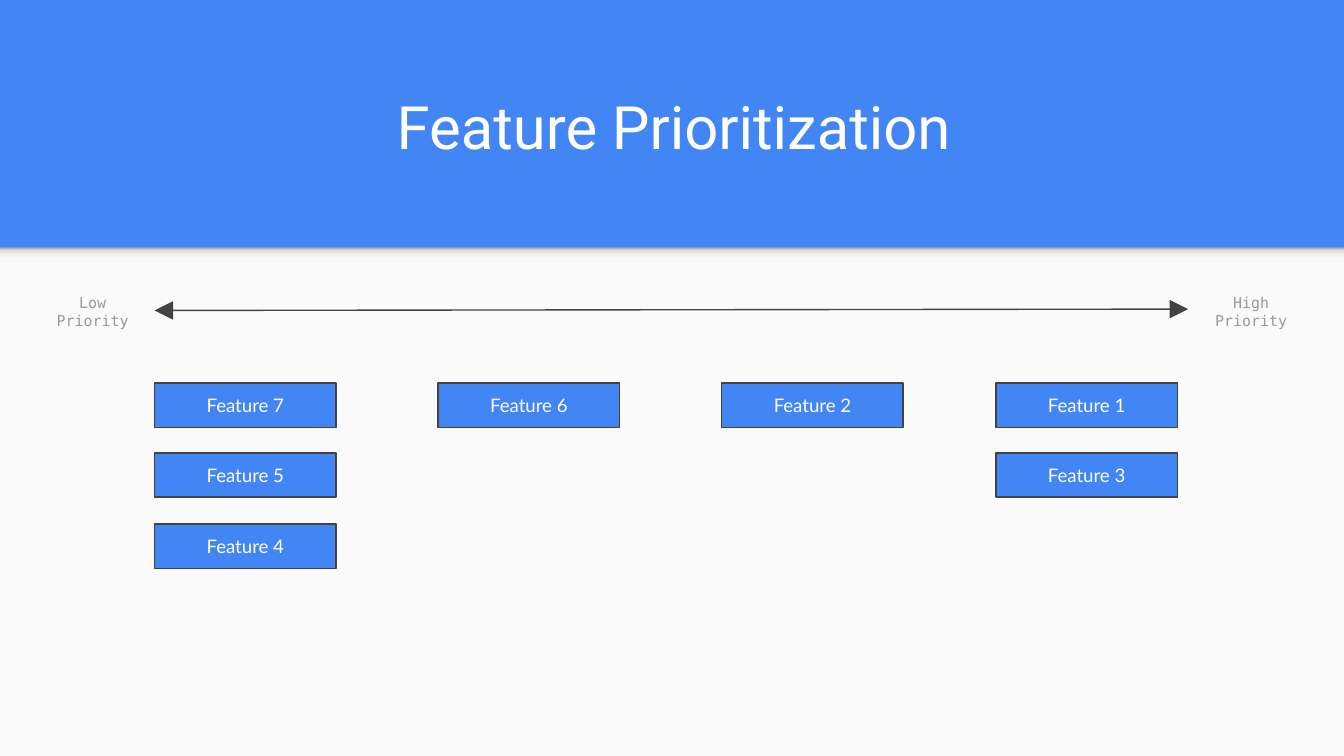
"""Build a slide that ranks features from low to high priority."""
from lxml import etree
from pptx import Presentation
from pptx.dml.color import RGBColor
from pptx.enum.shapes import MSO_CONNECTOR, MSO_SHAPE
from pptx.enum.text import MSO_ANCHOR, MSO_AUTO_SIZE, PP_ALIGN
from pptx.oxml.ns import qn
from pptx.util import Inches, Pt

RECTANGLE = MSO_SHAPE.RECTANGLE
STRAIGHT = MSO_CONNECTOR.STRAIGHT
MIDDLE, BOTTOM = MSO_ANCHOR.MIDDLE, MSO_ANCHOR.BOTTOM
NO_AUTOFIT = MSO_AUTO_SIZE.NONE
CENTER = PP_ALIGN.CENTER

BLUE = RGBColor(0x42, 0x85, 0xF4)
WHITE = RGBColor(0xFF, 0xFF, 0xFF)
PAPER = RGBColor(0xFA, 0xFA, 0xFA)
DARK = RGBColor(0x42, 0x42, 0x42)
GRAY = RGBColor(0x99, 0x99, 0x99)
EDGE_LIGHT = RGBColor(0xF9, 0xF9, 0xF9)
EDGE_MID = RGBColor(0xDE, 0xDE, 0xDE)
EDGE_STOPS = [(0, EDGE_LIGHT), (36, EDGE_LIGHT), (80, EDGE_MID), (100, GRAY)]

SLIDE_WIDTH = 10
SLIDE_HEIGHT = SLIDE_WIDTH * 9 / 16
PANEL_TOP = 1.84
ROW_TOPS = [2.85, 3.37, 3.9]
FEATURE_COLUMNS = [
    (1.15, ["Feature 7", "Feature 5", "Feature 4"]),
    (3.26, ["Feature 6"]),
    (5.37, ["Feature 2"]),
    (7.41, ["Feature 1", "Feature 3"]),
]


def write_text(shape, text, font, size, color, anchor=MIDDLE):
    """Put one centred, formatted run into a shape."""
    frame = shape.text_frame
    frame.word_wrap = True
    frame.auto_size = NO_AUTOFIT
    frame.vertical_anchor = anchor
    frame.margin_left = frame.margin_right = Inches(0.1)
    frame.margin_top = frame.margin_bottom = Inches(0.1)
    para = frame.paragraphs[0]
    para.alignment = CENTER
    span = para.add_run()
    span.text = text
    span.font.name = font
    span.font.size = Pt(size)
    span.font.color.rgb = color


def add_box(page, left, top, width, height, color):
    """Add a plain rectangle without outline or shadow."""
    box = page.shapes.add_shape(
        RECTANGLE, Inches(left), Inches(top), Inches(width), Inches(height))
    box.shadow.inherit = False
    box.fill.solid()
    box.fill.fore_color.rgb = color
    box.line.fill.background()
    return box


def add_panel(page):
    """Add the light lower panel with a shaded upper edge."""
    add_box(page, 0, PANEL_TOP, SLIDE_WIDTH, SLIDE_HEIGHT - PANEL_TOP, PAPER)
    edge = add_box(page, 0, PANEL_TOP, SLIDE_WIDTH, 0.12, PAPER)
    edge.fill.gradient()
    edge.fill.gradient_angle = 90
    stops = edge.element.spPr.find(qn("a:gradFill")).find(qn("a:gsLst"))
    stops.clear()
    for position, color in EDGE_STOPS:
        stop = etree.SubElement(stops, qn("a:gs"), pos=str(position * 1000))
        etree.SubElement(stop, qn("a:srgbClr"), val=str(color))


def add_title(page, text):
    """Place and fill the title placeholder."""
    title = page.shapes.title
    title.left, title.top = Inches(0.52), Inches(0.46)
    title.width, title.height = Inches(8.99), Inches(0.84)
    write_text(title, text, "Roboto", 32, WHITE, BOTTOM)


def add_feature(page, left, top, name):
    """Add an outlined feature box."""
    box = add_box(page, left, top, 1.35, 0.33, BLUE)
    box.line.color.rgb = DARK
    box.line.width = Pt(0.75)
    write_text(box, name, "Lato", 10, WHITE)


def add_axis_label(group, left, width, text):
    """Add a label at one end of the priority axis."""
    label = group.shapes.add_textbox(
        Inches(left), Inches(2.14), Inches(width), Inches(0.36))
    write_text(label, text, "DejaVu Sans Mono", 8, GRAY)


def add_axis(page):
    """Add the two-headed priority arrow with its labels as one group."""
    group = page.shapes.add_group_shape()
    arrow = group.shapes.add_connector(
        STRAIGHT, Inches(1.15), Inches(2.31), Inches(8.84), Inches(2.3))
    arrow.line.color.rgb = DARK
    arrow.line.width = Pt(0.75)
    outline = arrow.element.spPr.find(qn("a:ln"))
    for end in ("a:headEnd", "a:tailEnd"):
        etree.SubElement(outline, qn(end), type="triangle", w="lg", len="lg")
    etree.SubElement(arrow.element.spPr, qn("a:effectLst"))
    add_axis_label(group, 8.84, 0.94, "High Priority")
    add_axis_label(group, 0.23, 0.92, "Low Priority")


def main():
    """Build and save the deck."""
    deck = Presentation()
    deck.slide_width = Inches(SLIDE_WIDTH)
    deck.slide_height = Inches(SLIDE_HEIGHT)
    page = deck.slides.add_slide(deck.slide_layouts[5])
    page.background.fill.solid()
    page.background.fill.fore_color.rgb = BLUE
    add_panel(page)
    add_title(page, "Feature Prioritization")
    add_axis(page)
    for left, names in FEATURE_COLUMNS:
        for top, name in zip(ROW_TOPS, names):
            add_feature(page, left, top, name)
    deck.save("out.pptx")


if __name__ == "__main__":
    main()
